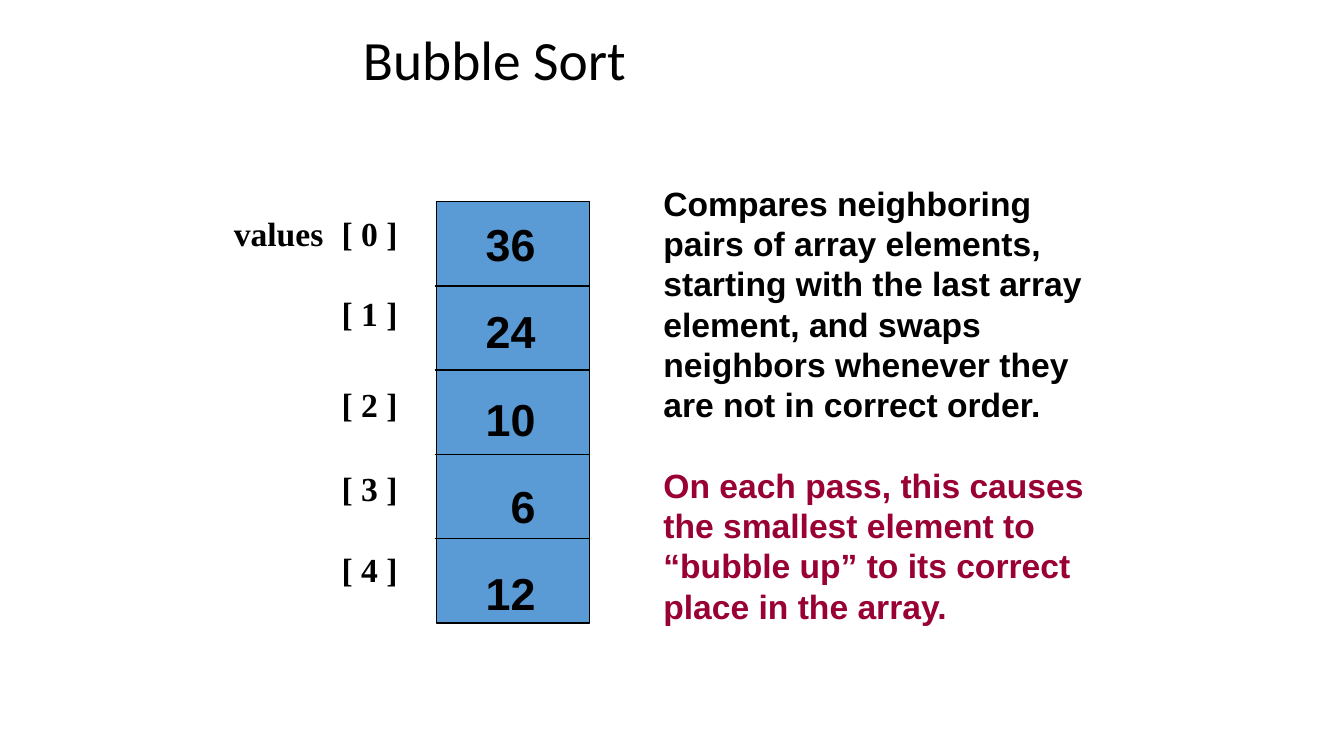
from pptx import Presentation
from pptx.dml.color import RGBColor
from pptx.enum.shapes import MSO_CONNECTOR, MSO_SHAPE
from pptx.enum.text import MSO_ANCHOR, MSO_AUTO_SIZE, PP_ALIGN
from pptx.oxml.ns import qn
from pptx.util import Inches, Pt
from lxml.etree import SubElement

TITLE = "Bubble Sort"
NAME = "values"
VALUES = ["36", "24", "10", "6", "12"]
INDEX_GAPS = [0, 28.8, 36, 31.2, 28.8]
NOTES = [
    ("Compares neighboring pairs of array elements, starting with the last array "
     "element, and swaps neighbors whenever they are not in correct order.", "000000"),
    ("On each pass, this causes the smallest element to \u201cbubble up\u201d to its "
     "correct place in the array.", "990033"),
]
LEFT, TOP, WIDTH, HEIGHT = 4.33, 2, 1.52, 4.18
OVERHANG = 0.02


def rgb(value):
    return RGBColor.from_string(value)


def place(shape, x, y, w, h):
    shape.left, shape.top, shape.width, shape.height = map(Inches, (x, y, w, h))


def add_text(tf, text, font="Arial", size=24, color="000000", bold=True,
             align=PP_ALIGN.LEFT, before=0, line=None):
    p = tf.paragraphs[0] if not tf.text else tf.add_paragraph()
    p.alignment = align
    p.space_before = Pt(before)
    p.line_spacing = line or Pt(size * 1.2)
    r = p.add_run()
    r.text = text
    r.font.name, r.font.size, r.font.bold = font, Pt(size), bold
    r.font.color.rgb = rgb(color)
    return p


def add_box(x, y, w, h):
    tf = s.shapes.add_textbox(*map(Inches, (x, y, w, h))).text_frame
    tf.word_wrap = True
    return tf


prs = Presentation()
prs.slide_width, prs.slide_height = Inches(13.33), Inches(7.5)
s = prs.slides.add_slide(prs.slide_layouts[1])
title, body = s.shapes.title, s.placeholders[1]

place(title, 3.5, 0.5, 6.43, 0.25)
title.text_frame.auto_size = MSO_AUTO_SIZE.NONE
title.text_frame.vertical_anchor = MSO_ANCHOR.MIDDLE
add_text(title.text_frame, TITLE, font="Calibri", size=39.6, bold=False, line=0.9)

place(body, 6.48, 1.76, 4.66, 4.54)
body.text_frame.auto_size = MSO_AUTO_SIZE.NONE
for i, (text, color) in enumerate(NOTES):
    p = add_text(body.text_frame, text, color=color, before=28.8 * i)
    pPr = p._p.get_or_add_pPr()
    pPr.set("marL", "0")
    pPr.set("indent", "0")
    SubElement(pPr, qn("a:buNone"))

add_text(add_box(2.22, 2.06, 1.15, 0.5), NAME, font="Times New Roman")
tf = add_box(3.29, 2.06, 0.95, 3.9)
for i, gap in enumerate(INDEX_GAPS):
    add_text(tf, f"[ {i} ]", font="Times New Roman", before=gap)

array = s.shapes.add_shape(MSO_SHAPE.RECTANGLE, *map(Inches, (LEFT, TOP, WIDTH, HEIGHT)))
array.shadow.inherit = False
array.fill.solid()
array.fill.fore_color.rgb = rgb("5B9BD5")
array.line.color.rgb = rgb("000000")
array.line.width = Pt(1)

for i in range(1, len(VALUES)):
    y = TOP + HEIGHT / len(VALUES) * i
    divider = s.shapes.add_connector(
        MSO_CONNECTOR.STRAIGHT,
        *map(Inches, (LEFT - OVERHANG, y, LEFT + WIDTH, y)))
    divider.line.color.rgb = rgb("000000")
    divider.line.width = Pt(1)
    SubElement(divider._element.spPr, qn("a:effectLst"))

tf = add_box(4.51, 2.1, 0.9, 4.14)
for i, value in enumerate(VALUES):
    add_text(tf, value, size=32, align=PP_ALIGN.RIGHT, before=24 if i else 0)

prs.save("out.pptx")
